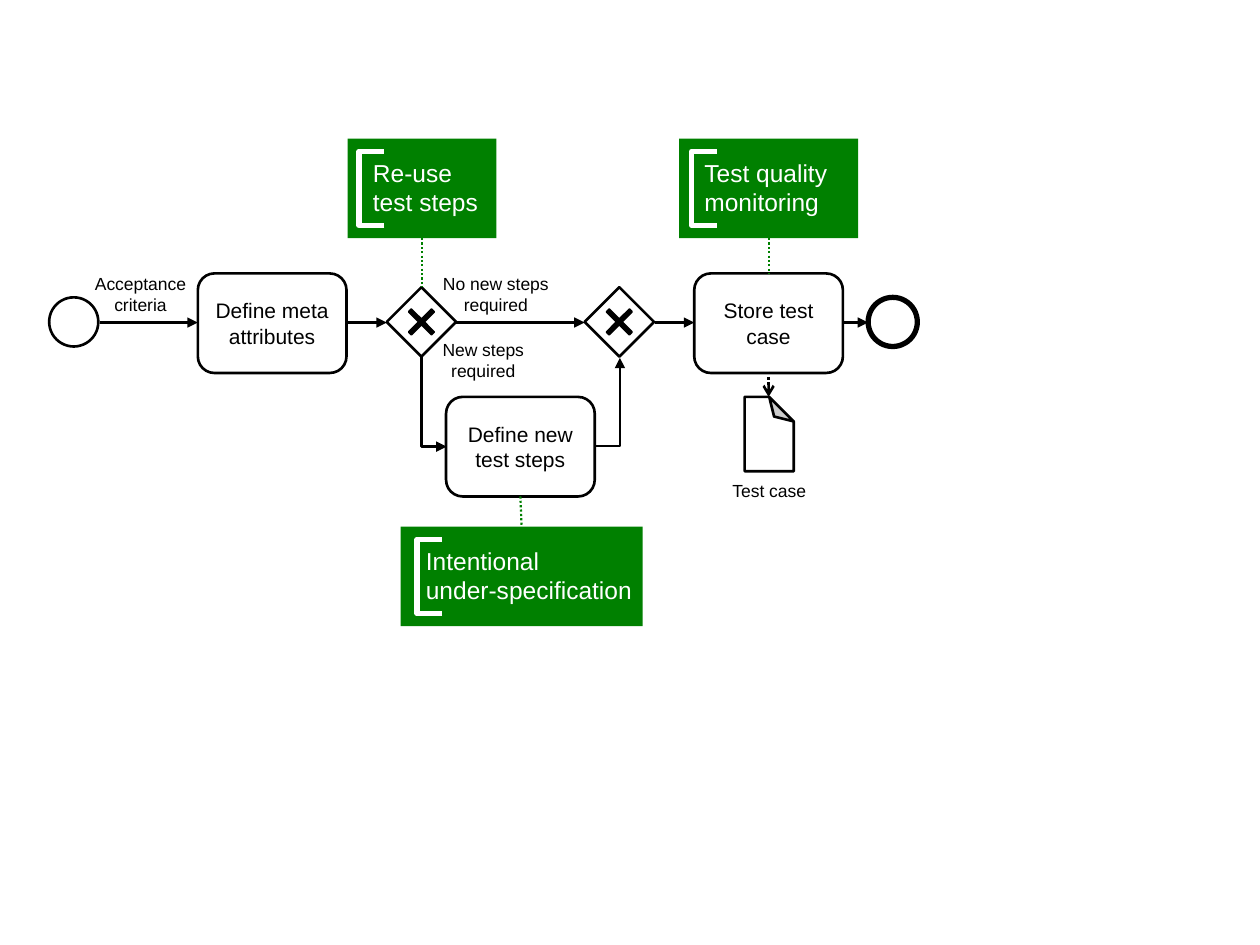
from pptx import Presentation
from pptx.dml.color import RGBColor
from pptx.enum.dml import MSO_LINE as Dash
from pptx.enum.shapes import MSO_CONNECTOR as Connector, MSO_SHAPE as Shape
from pptx.enum.text import MSO_ANCHOR as Anchor, MSO_AUTO_SIZE as AutoSize, PP_ALIGN as Align
from pptx.oxml.ns import qn
from pptx.util import Inches, Pt
from lxml import etree

COLORS = {"ink": "000000", "paper": "FFFFFF", "note": "008000"}
CENTER_Y = 2.56
TASK_WIDTH, TASK_HEIGHT = 1.18, 0.79
NODE = 0.39

presentation = Presentation()
presentation.slide_width, presentation.slide_height = Inches(10), Inches(7.5)
slide = presentation.slides.add_slide(presentation.slide_layouts[6])
shapes = slide.shapes.add_group_shape().shapes


def add_shape(kind, left, top, width, height, fill=None, line=None, weight=1.5, adjust=None):
    shape = shapes.add_shape(kind, Inches(left), Inches(top), Inches(width), Inches(height))
    shape.shadow.inherit = False
    for target, color in ((shape.fill, fill), (shape.line.fill, line)):
        if color:
            target.solid()
            target.fore_color.rgb = RGBColor.from_string(COLORS[color])
        else:
            target.background()
    if line:
        shape.line.width = Pt(weight)
    if adjust:
        name, value = adjust
        geometry = shape.element.spPr.find(qn("a:prstGeom"))
        for guides in geometry.findall(qn("a:avLst")):
            geometry.remove(guides)
        guides = etree.SubElement(geometry, qn("a:avLst"))
        etree.SubElement(guides, qn("a:gd"), name=name, fmla=f"val {value}")
    return shape


def write(shape, text, size, color, align, **frame_format):
    frame = shape.text_frame
    frame.text = text
    for name, value in frame_format.items():
        setattr(frame, name, value)
    font_format = {"name": "Arial", "size": Pt(size)}
    for paragraph in frame.paragraphs:
        paragraph.alignment = align
        for run in paragraph.runs:
            for name, value in font_format.items():
                setattr(run.font, name, value)
            run.font.color.rgb = RGBColor.from_string(COLORS[color])


tasks = [
    ("Define meta attributes", 1.57, 2.17),
    ("Define new test steps", 3.54, 3.15),
    ("Store test case", 5.51, 2.17),
]
for text, left, top in tasks:
    task = add_shape(Shape.FLOWCHART_ALTERNATE_PROCESS, left, top, TASK_WIDTH, TASK_HEIGHT, "paper", "ink")
    write(task, text, 12, "ink", Align.CENTER, word_wrap=True, vertical_anchor=Anchor.MIDDLE)

for left, weight in ((0.39, 1.5), (6.89, 3)):
    add_shape(Shape.OVAL, left, 2.36, NODE, NODE, "paper", "ink", weight)

for left in (3.15, 4.72):
    gateway = add_shape(Shape.RECTANGLE, left, 2.36, NODE, NODE, "paper", "ink")
    gateway.rotation = 45
    add_shape(Shape.MATH_MULTIPLY, left + 0.02, 2.38, 0.35, 0.35, "ink", "ink", 1, ("adj1", 8700))

document = add_shape(Shape.FOLDED_CORNER, 5.91, 3.15, NODE, 0.59, "paper", "ink", adjust=("adj", 50000))
document.element.spPr.find(qn("a:xfrm")).set("flipV", "1")

flows = [(start, CENTER_Y, end, CENTER_Y) for start, end in
         ((0.79, 1.57), (2.76, 3.07), (3.62, 4.64), (5.2, 5.51), (6.69, 6.89))]
links = [(flow, "ink", 1.5, None, "triangle", None) for flow in flows]
links += [
    ((3.8, 3.09, 3.09, 3.29), "ink", 1.5, None, "triangle", 270),
    ((4.72, 3.54, 4.92, 2.84), "ink", 1.5, None, "triangle", 0),
    ((6.1, 2.95, 6.1, 3.15), "ink", 1.5, Dash.ROUND_DOT, "arrow", None),
    ((3.35, 1.89, 3.35, 2.28), "note", 1.25, Dash.ROUND_DOT, None, None),
    ((4.13, 3.94, 4.14, 4.18), "note", 1.25, Dash.ROUND_DOT, None, None),
    ((6.1, 1.89, 6.1, 2.17), "note", 1.25, Dash.ROUND_DOT, None, None),
]
for points, color, weight, dash, arrow, elbow_rotation in links:
    connector = shapes.add_connector(Connector.STRAIGHT, *map(Inches, points))
    connector.line.color.rgb = RGBColor.from_string(COLORS[color])
    connector.line.width = Pt(weight)
    if dash:
        connector.line.dash_style = dash
    properties = connector.element.spPr
    if elbow_rotation is not None:
        properties.find(qn("a:prstGeom")).set("prst", "bentConnector2")
        properties.find(qn("a:xfrm")).set("rot", str(elbow_rotation * 60000))
    if arrow:
        etree.SubElement(properties.find(qn("a:ln")), qn("a:tailEnd"), type=arrow)
    etree.SubElement(properties, qn("a:effectLst"))

labels = [
    ("Acceptance\vcriteria", 0.65, 2.12, 0.93, 0.44),
    ("No new steps\nrequired", 3.41, 2.12, 1.05, 0.44),
    ("New steps\nrequired", 3.41, 2.64, 0.85, 0.44),
    ("Test case", 5.7, 3.76, 0.81, 0.27),
]
for text, *box in labels:
    label = shapes.add_textbox(*map(Inches, box))
    write(label, text, 10, "ink", Align.CENTER, word_wrap=False, auto_size=AutoSize.SHAPE_TO_FIT_TEXT)

note_format = {
    "word_wrap": False,
    "vertical_anchor": Anchor.TOP,
    "margin_left": Inches(0.2),
    "margin_top": Inches(0.15),
    "margin_right": Inches(0.1),
    "margin_bottom": Inches(0.1),
}
notes = [
    ("Re-use\vtest steps", 2.76, 1.1, 1.18, 2.85),
    ("Intentional\nunder-specification", 3.18, 4.18, 1.92, 3.31),
    ("Test quality\nmonitoring", 5.39, 1.1, 1.42, 5.49),
]
for text, left, top, width, bracket_left in notes:
    note = add_shape(Shape.RECTANGLE, left, top, width, TASK_HEIGHT, "note")
    write(note, text, 14, "paper", Align.LEFT, **note_format)
    add_shape(Shape.LEFT_BRACKET, bracket_left, top + 0.1, 0.2, 0.59, None, "paper", 3, ("adj", 0))

presentation.save("out.pptx")
